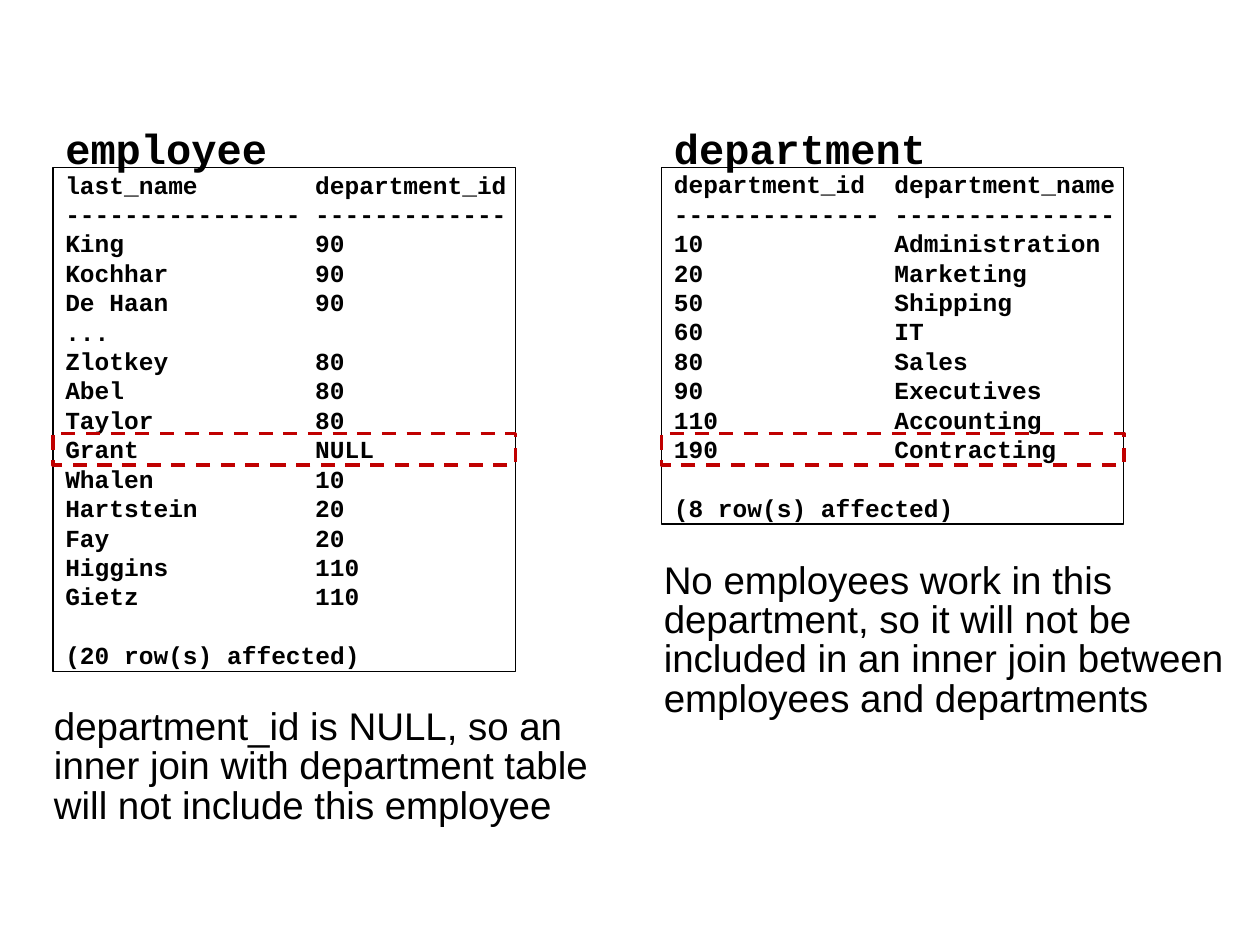
from pptx import Presentation
from pptx.dml.color import RGBColor
from pptx.enum.dml import MSO_LINE
from pptx.enum.shapes import MSO_SHAPE
from pptx.enum.text import MSO_ANCHOR, PP_ALIGN
from pptx.util import Inches, Pt
from lxml.etree import SubElement
from pptx.oxml.ns import qn

COLORS = {"text": "000000", "highlight": "C00000"}
CHARACTER_WIDTH = 0.6 * 14 / 72
ROW_HEIGHT = 16.8

EMPLOYEE_ROWS = [
    ("last_name", "department_id"), ("-" * 16, "-" * 13),
    ("King", "90"), ("Kochhar", "90"), ("De Haan", "90"), ("...",),
    ("Zlotkey", "80"), ("Abel", "80"), ("Taylor", "80"), ("Grant", "NULL"),
    ("Whalen", "10"), ("Hartstein", "20"), ("Fay", "20"),
    ("Higgins", "110"), ("Gietz", "110"),
]
DEPARTMENT_ROWS = [
    ("department_id", "department_name"), ("-" * 14, "-" * 15),
    ("10", "Administration"), ("20", "Marketing"), ("50", "Shipping"),
    ("60", "IT"), ("80", "Sales"), ("90", "Executives"),
    ("110", "Accounting"), ("190", "Contracting"),
]


def add_run(paragraph, text, font_name, size, bold=False):
    """Add one styled run to a paragraph."""
    run = paragraph.add_run()
    run.text = text
    run.font.name = font_name
    run.font.size = Pt(size)
    run.font.bold = bold
    run.font.color.rgb = RGBColor.from_string(COLORS["text"])


def add_frame(slide, left, top, width, height, color, weight):
    """Add an unfilled outlined rectangle."""
    shape = slide.shapes.add_shape(
        MSO_SHAPE.RECTANGLE, Inches(left), Inches(top), Inches(width), Inches(height))
    shape.shadow.inherit = False
    shape.fill.background()
    shape.line.color.rgb = RGBColor.from_string(color)
    shape.line.width = Pt(weight)
    return shape


def add_text(slide, left, top, width, height, wrap):
    """Add a text box and return its first paragraph."""
    box = slide.shapes.add_textbox(
        Inches(left), Inches(top), Inches(width), Inches(height))
    box.text_frame.word_wrap = wrap
    return box.text_frame.paragraphs[0]


def add_listing(slide, left, top, width, height, rows, column, footer):
    """Add a framed query result with its second column on a tab stop."""
    shape = add_frame(slide, left, top, width, height, COLORS["text"], 0.75)
    frame = shape.text_frame
    frame.word_wrap = True
    frame.vertical_anchor = MSO_ANCHOR.MIDDLE
    frame.margin_right = 0
    for index, cells in enumerate(rows + [(footer,)]):
        paragraph = frame.add_paragraph() if index else frame.paragraphs[0]
        paragraph.alignment = PP_ALIGN.LEFT
        paragraph.line_spacing = Pt(ROW_HEIGHT)
        if index == len(rows):
            paragraph.space_before = Pt(ROW_HEIGHT)
        if len(cells) > 1:
            tabs = SubElement(paragraph._p.get_or_add_pPr(), qn("a:tabLst"))
            position = Inches(column * CHARACTER_WIDTH)
            SubElement(tabs, qn("a:tab"), pos=str(position), algn="l")
        add_run(paragraph, "\t".join(cells), "Courier New", 14, True)


def add_table_panel(slide, left, top, height, name, rows, column, footer):
    """Add a named listing with one dashed row highlight."""
    width = 3.67
    add_listing(slide, left, top, width, height, rows, column, footer)
    title = add_text(slide, left, top - 0.41, 2.22, 0.51, False)
    add_run(title, name, "Courier New", 24, True)
    highlight = add_frame(slide, left, top + 2.11, width, 0.25, COLORS["highlight"], 2)
    highlight.line.dash_style = MSO_LINE.DASH


def add_note(slide, left, top, width, height, text):
    """Add an explanatory note below a listing."""
    paragraph = add_text(slide, left, top, width, height, True)
    paragraph.line_spacing = 0.85
    paragraph.space_before = Pt(7.7)
    add_run(paragraph, text, "Arial", 22)


def main():
    """Build and save the slide."""
    presentation = Presentation()
    presentation.slide_width = Inches(10)
    presentation.slide_height = Inches(7.5)
    slide = presentation.slides.add_slide(presentation.slide_layouts[6])
    add_table_panel(slide, 0.42, 1.33, 4, "employee", EMPLOYEE_ROWS, 17,
                    "(20 row(s) affected)")
    add_table_panel(slide, 5.25, 1.33, 2.83, "department", DEPARTMENT_ROWS, 15,
                    "(8 row(s) affected)")
    add_note(slide, 0.33, 5.58, 4.92, 1.05,
             "department_id is NULL, so an inner join with department table "
             "will not include this employee")
    add_note(slide, 5.17, 4.42, 4.67, 1.36,
             "No employees work in this department, so it will not be included "
             "in an inner join between employees and departments")
    presentation.save("out.pptx")


if __name__ == "__main__":
    main()
